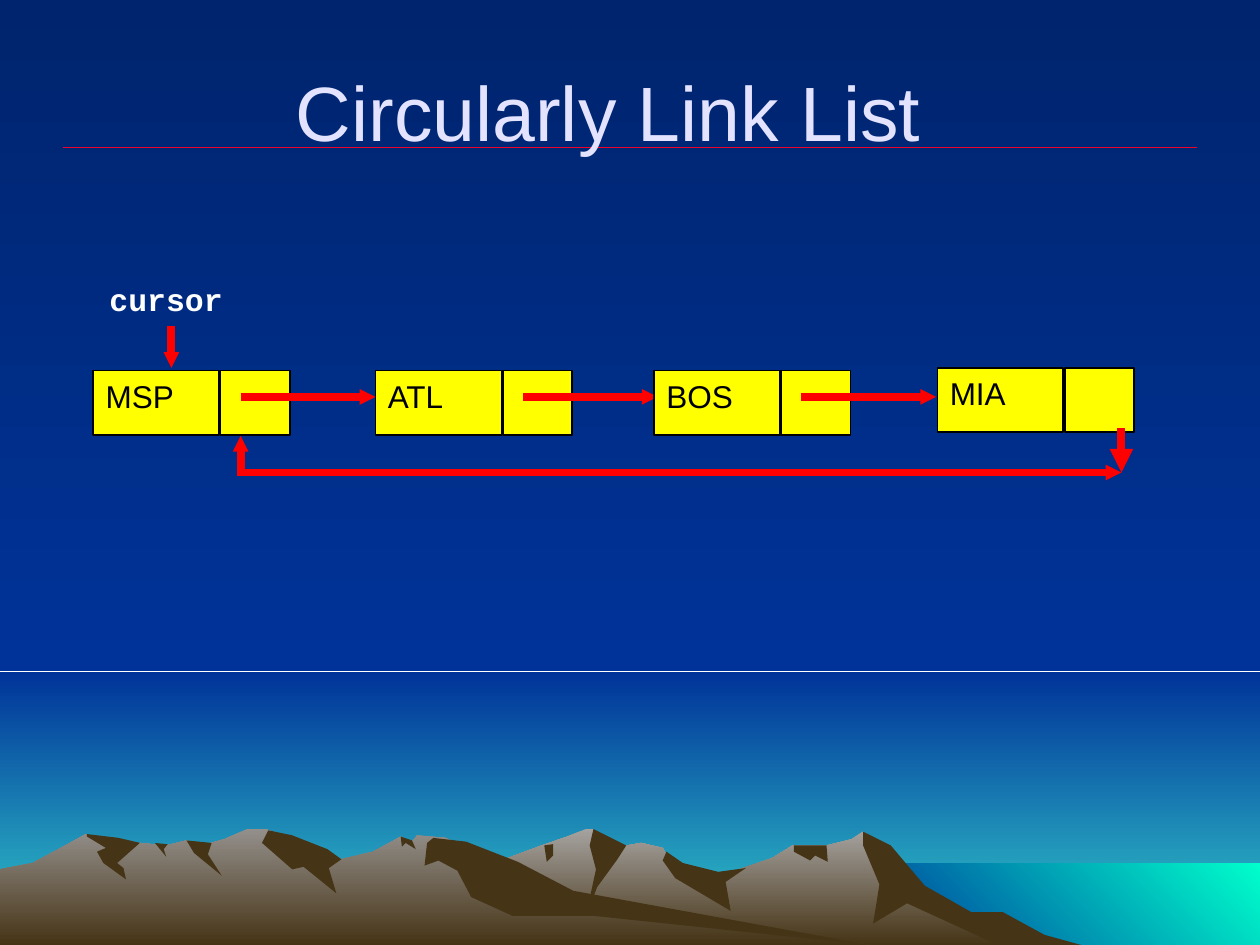
from dataclasses import dataclass

from lxml import etree
from pptx import Presentation
from pptx.dml.color import RGBColor
from pptx.enum.shapes import MSO_CONNECTOR, MSO_SHAPE
from pptx.enum.text import MSO_ANCHOR, PP_ALIGN
from pptx.oxml.ns import qn
from pptx.util import Inches, Pt

STRAIGHT = MSO_CONNECTOR.STRAIGHT
RECTANGLE = MSO_SHAPE.RECTANGLE
TOP, MIDDLE = MSO_ANCHOR.TOP, MSO_ANCHOR.MIDDLE
LEFT, CENTER = PP_ALIGN.LEFT, PP_ALIGN.CENTER
DOWNWARD, TO_UPPER_RIGHT = 270, 45  # gradient directions


@dataclass(frozen=True)
class Theme:
    sky_top: str = "00246D"
    sky_blue: str = "003399"
    horizon: str = "33CCCC"
    sea: str = "00FFCC"
    rock: str = "463416"
    rock_light: str = "A5A29F"
    rock_grey: str = "938F8B"
    rule: str = "EF0129"
    title: str = "E3E3FF"
    label: str = "FFFFFF"
    node: str = "FFFF00"
    ink: str = "000000"
    arrow: str = "FF0000"
    title_size: int = 44
    body_size: int = 18
    rule_width: int = 1
    arrow_width: float = 4.5
    sans: str = "Arial"
    mono: str = "Courier New"


theme = Theme()


def paint(shape, colours, angle=DOWNWARD):
    """Fill a shape: one colour is solid, two are a gradient."""
    shape.shadow.inherit = False
    shape.line.fill.background()
    if len(colours) == 1:
        shape.fill.solid()
        shape.fill.fore_color.rgb = RGBColor.from_string(colours[0])
        return
    shape.fill.gradient()
    shape.fill.gradient_angle = angle
    for stop, colour, position in zip(shape.fill.gradient_stops, colours, (0, 1)):
        stop.color.rgb = RGBColor.from_string(colour)
        stop.position = position


def draw_line(start, end, colour, width, head=None):
    """Draw a straight line, with an arrowhead at its end if a size is given."""
    line = slide.shapes.add_connector(STRAIGHT, *map(Inches, start + end))
    line.line.color.rgb = RGBColor.from_string(colour)
    line.line.width = Pt(width)
    properties = line.element.spPr
    if head:
        etree.SubElement(properties.find(qn("a:ln")), qn("a:tailEnd"),
                         type="triangle", w=head, len=head)
    etree.SubElement(properties, qn("a:effectLst"))


prs = Presentation()
prs.slide_width, prs.slide_height = Inches(10), Inches(7.5)
slide = prs.slides.add_slide(prs.slide_layouts[6])

# Sky, glow above the horizon, and sea: each band runs to the right edge
HORIZON, SHORE, BOTTOM = 5.33, 6.85, 7.5
bands = [
    (0, 0, HORIZON, (theme.sky_top, theme.sky_blue), DOWNWARD),
    (0, HORIZON, BOTTOM, (theme.sky_blue, theme.horizon), DOWNWARD),
    (6.83, SHORE, BOTTOM, (theme.sky_blue, theme.sea), TO_UPPER_RIGHT),
]
for left, top, bottom, colours, angle in bands:
    band = slide.shapes.add_shape(RECTANGLE, *map(
        Inches, (left, top, 10 - left, bottom - top)))
    paint(band, colours, angle)

# Mountain ranges: a crest from foot to foot, then the shaded faces on it
right_crest = [(2.58, 7.5), (3.27, 7.09), (3.95, 6.84), (4.3, 6.71), (4.5, 6.64),
               (4.65, 6.58), (4.71, 6.58), (4.86, 6.73), (5.09, 6.69), (5.26, 6.73),
               (5.36, 6.9), (5.66, 6.97), (6.13, 6.81), (6.29, 6.71), (6.56, 6.71),
               (6.76, 6.66), (6.85, 6.6), (7.02, 6.71), (7.23, 6.98), (7.64, 7.23),
               (8.21, 7.5)]
right_faces = {
    "east slope": [(6.85, 6.6), (7.07, 6.71), (7.34, 7.03), (7.71, 7.24), (7.96, 7.24),
                   (8.29, 7.42), (8.58, 7.5), (7.92, 7.5), (7.2, 7.17), (6.93, 7.33),
                   (6.98, 7.02), (6.85, 6.71)],
    "middle peak": [(4.71, 6.58), (4.97, 6.71), (4.9, 6.82), (4.74, 7.04), (4.65, 7.27),
                    (4.73, 6.9), (4.68, 6.71)],
    "saddle": [(5.29, 6.76), (5.42, 6.85), (5.7, 6.92), (5.92, 6.89), (5.76, 7),
               (5.8, 7.23), (5.36, 6.97), (5.26, 6.83)],
    "ledge": [(6.3, 6.71), (6.56, 6.71), (6.57, 6.84), (6.47, 6.79), (6.43, 6.83),
              (6.3, 6.76)],
    "notch": [(4.32, 6.71), (4.39, 6.7), (4.39, 6.79), (4.34, 6.84)],
}
left_crest = [(0, 7.5), (0, 6.9), (0.26, 6.85), (0.5, 6.72), (0.68, 6.62),
              (0.94, 6.71), (1.11, 6.69), (1.32, 6.71), (1.48, 6.67), (1.6, 6.71),
              (1.78, 6.66), (1.96, 6.58), (2.12, 6.58), (2.23, 6.63), (2.36, 6.81),
              (2.6, 6.76), (2.71, 6.82), (2.96, 6.76), (3.18, 6.64), (3.27, 6.68),
              (3.31, 6.63), (3.54, 6.65), (4.32, 7.12), (6.9, 7.5)]
left_faces = {
    "main peak": [(2.13, 6.59), (2.32, 6.63), (2.6, 6.74), (2.71, 6.82), (2.61, 6.89),
                  (2.67, 7.09), (2.41, 6.88), (2.32, 6.9), (2.08, 6.69)],
    "long spur": [(3.44, 6.65), (3.7, 6.68), (4.11, 6.84), (4.55, 7.07), (6.9, 7.5),
                  (4.72, 7.27), (4.07, 7.27), (3.74, 7.12), (3.63, 6.91), (3.48, 6.83),
                  (3.37, 6.87), (3.39, 6.69)],
    "summit nick": [(3.18, 6.64), (3.27, 6.67), (3.3, 6.74), (3.22, 6.69), (3.19, 6.72)],
    "gully": [(1.48, 6.67), (1.68, 6.69), (1.65, 6.78), (1.76, 6.95), (1.54, 6.77)],
    "cleft": [(1.23, 6.69), (1.33, 6.7), (1.3, 6.74), (1.32, 6.8)],
    "west peak": [(0.69, 6.62), (0.94, 6.65), (1.11, 6.69), (0.93, 6.85), (0.98, 6.89),
                  (1, 6.98), (0.82, 6.85), (0.77, 6.76), (0.84, 6.73), (0.69, 6.64)],
}
ranges = [
    (right_crest, theme.rock_light, right_faces),
    (left_crest, theme.rock_grey, left_faces),
]
for crest, light, faces in ranges:
    outlines = [(crest, (light, theme.rock))]
    outlines += [(face, (theme.rock,)) for face in faces.values()]
    for outline, colours in outlines:
        corners = [(Inches(x), Inches(y)) for x, y in outline]
        builder = slide.shapes.build_freeform(*corners[0])
        builder.add_line_segments(corners[1:], close=True)
        paint(builder.convert_to_shape(), colours)

# Title, set slightly left of centre, and its rule
draw_line((0.5, 1.17), (9.5, 1.17), theme.rule, theme.rule_width)
title = slide.shapes.add_textbox(Inches(0.5), Inches(0.25), Inches(9), Inches(1.25))
title.text_frame.word_wrap = True
title.text_frame.margin_right = Inches(0.44)
title.text_frame.vertical_anchor = MIDDLE
heading = title.text_frame.paragraphs[0]
heading.text = "Circularly Link List"
heading.alignment = CENTER
heading.font.size = Pt(theme.title_size)
heading.font.name = theme.sans
heading.font.color.rgb = RGBColor.from_string(theme.title)

# Cursor label
cursor = slide.shapes.add_textbox(Inches(0.77), Inches(2.17), Inches(1.4), Inches(0.5))
cursor.text_frame.word_wrap = False
caption = cursor.text_frame.paragraphs[0]
caption.text = "cursor"
caption.alignment = LEFT
caption.font.size = Pt(theme.body_size)
caption.font.name = theme.mono
caption.font.bold = True
caption.font.color.rgb = RGBColor.from_string(theme.label)

# List nodes: a value cell, a link cell and an arrow to the next node
VALUE_WIDTH, LINK_WIDTH, LINK_OFFSET, CELL_HEIGHT = 1, 0.55, 1.01, 0.51
ARROW_START, ARROW_END, ARROW_Y = 1.17, 2.24, 3.15  # x is measured from the node
nodes = [("MSP", 0.74, 2.94), ("ATL", 2.98, 2.94), ("BOS", 5.19, 2.94), ("MIA", 7.44, 2.92)]
for city, x, y in nodes:
    for value, left, width in ((city, x, VALUE_WIDTH), ("", x + LINK_OFFSET, LINK_WIDTH)):
        cell = slide.shapes.add_shape(RECTANGLE, *map(Inches, (left, y, width, CELL_HEIGHT)))
        paint(cell, (theme.node,))
        cell.line.color.rgb = RGBColor.from_string(theme.ink)
        cell.line.width = Pt(1)
        if value:
            cell.text_frame.vertical_anchor = TOP
            entry = cell.text_frame.paragraphs[0]
            entry.text = value
            entry.alignment = LEFT
            entry.font.size = Pt(theme.body_size)
            entry.font.name = theme.sans
            entry.font.color.rgb = RGBColor.from_string(theme.ink)
    if city != nodes[-1][0]:
        draw_line((x + ARROW_START, ARROW_Y), (x + ARROW_END, ARROW_Y),
                  theme.arrow, theme.arrow_width, "sm")

# Cursor pointer, then the link from the last node back to the first
RETURN_Y = 3.75
for start, end, head in [
    ((1.36, 2.59), (1.36, 2.92), "sm"),
    ((8.9, 3.4), (8.9, RETURN_Y), "med"),
    ((1.93, RETURN_Y), (8.9, RETURN_Y), "sm"),
    ((1.91, RETURN_Y + 0.03), (1.91, 3.46), "sm"),
]:
    draw_line(start, end, theme.arrow, theme.arrow_width, head)

prs.save("out.pptx")
